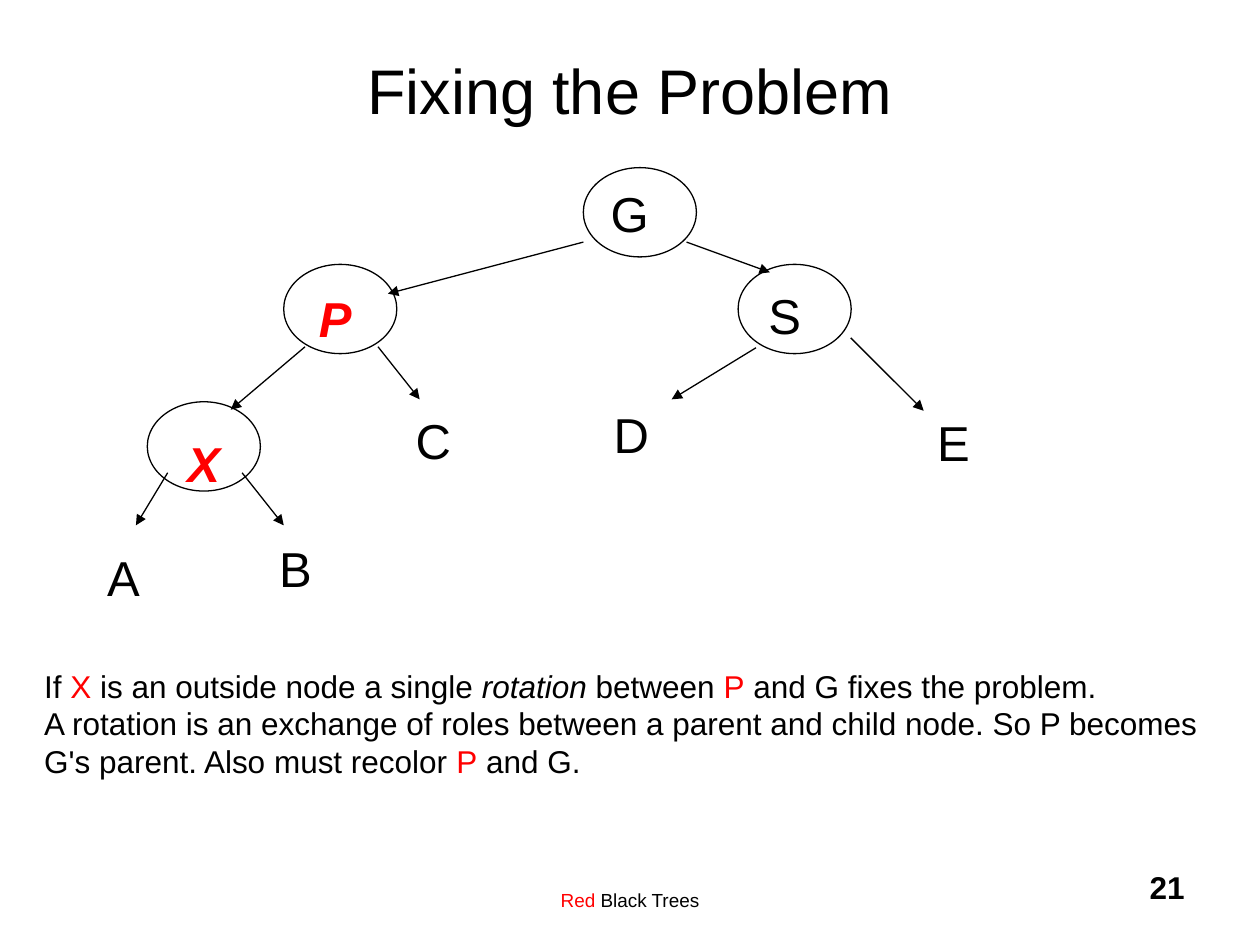
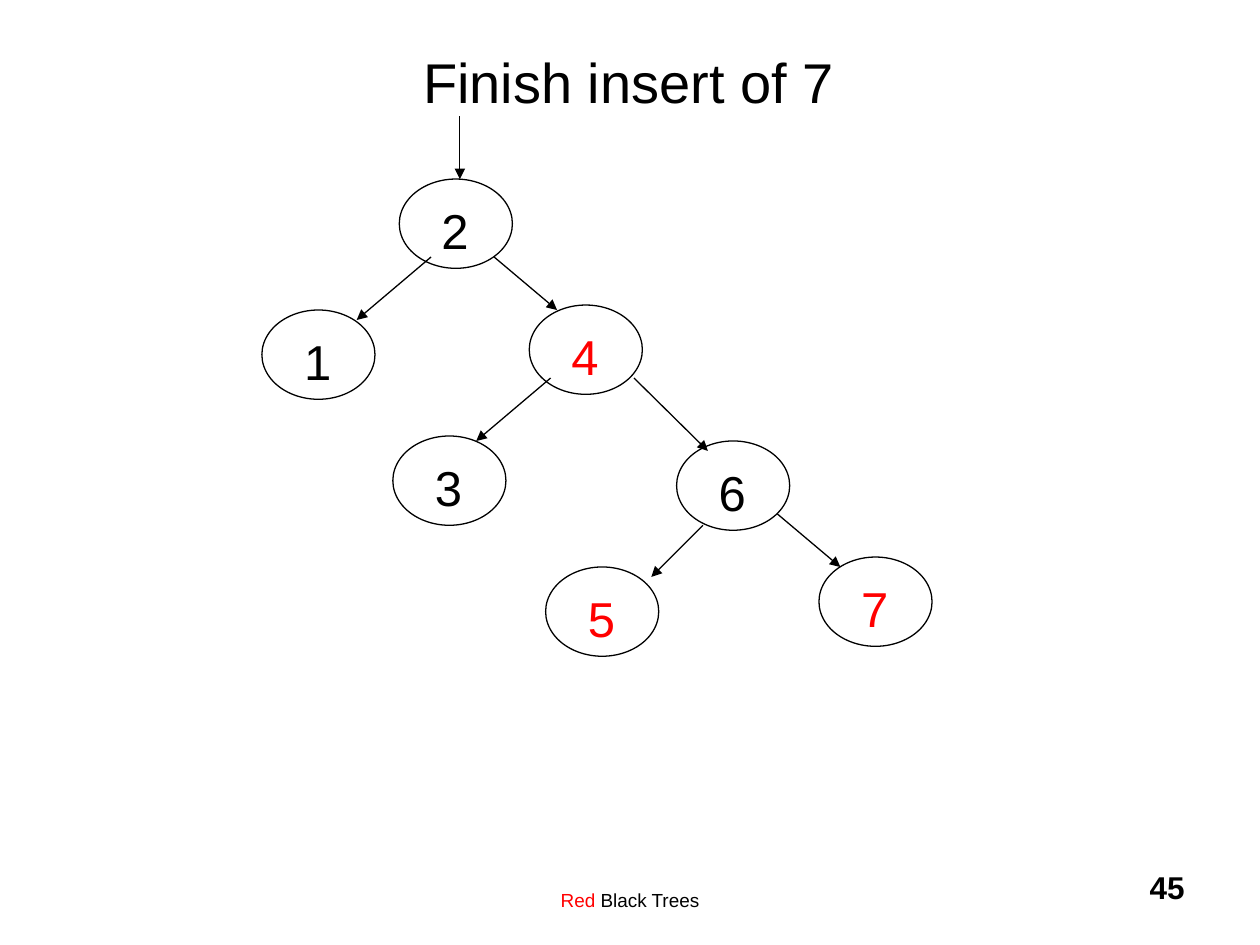
import pptx
import pptx.dml.color
import pptx.enum.shapes
import pptx.enum.text
import pptx.oxml
import pptx.oxml.ns
import pptx.util

Cm, Pt = pptx.util.Cm, pptx.util.Pt
ALIGN = pptx.enum.text.PP_ALIGN
ANCHOR = pptx.enum.text.MSO_ANCHOR
BLACK, RED = "000000", "FF0000"
FONT = "Arial"
NODE_WIDTH, NODE_HEIGHT = 2.28, 1.8
LABEL_HEIGHT, LABEL_DROP = 1.45, 0.1
LETTER_WIDTHS = {"G": 1.27, "C": 1.22, "D": 1.22}


def ink(color_format, hex_color):
    color_format.rgb = pptx.dml.color.RGBColor.from_string(hex_color)


def write(frame, text, size=18, color=BLACK, bold=False, italic=False,
          align=ALIGN.LEFT, anchor=ANCHOR.TOP, wrap=True, top_inset=0.13):
    """Fill a frame with a string, or with paragraphs of (text, overrides) runs."""
    frame.word_wrap = wrap
    frame.vertical_anchor = anchor
    frame.margin_top = Cm(top_inset)
    paragraphs = [[(text, {})]] if isinstance(text, str) else text
    for index, pieces in enumerate(paragraphs):
        paragraph = frame.add_paragraph() if index else frame.paragraphs[0]
        paragraph.alignment = align
        paragraph.space_before = Pt(0)
        for words, changes in pieces:
            run = paragraph.add_run()
            run.text = words
            run.font.name = FONT
            run.font.size = Pt(size)
            run.font.bold = bold
            run.font.italic = changes.get("italic", italic)
            ink(run.font.color, changes.get("color", color))


# Content: nodes are (label, left, top, label offset x, label offset y, color),
# leaves are (label, left, top), arrows are (from x, from y, to x, to y)
red = {"color": RED}
rotation_case = {
    "title": "Fixing the Problem", "title_at": (1.9, 0.2), "title_size": 36,
    "number": "21",
    "nodes": [
        ("G", 11.76, 3.38, 0.3, 0.08, BLACK),
        ("P", 5.72, 5.33, 0.46, 0.25, RED),
        ("S", 14.88, 5.33, 0.36, 0.2, BLACK),
        ("X", 2.97, 8.1, 0.56, 0.41, RED),
    ],
    "emphasis": True,
    "leaves": [("A", 1.91, 10.8), ("B", 5.38, 10.62), ("C", 8.13, 8.05),
               ("D", 12.12, 7.92), ("E", 18.64, 8.08)],
    "arrows": [
        (11.76, 4.88, 7.82, 5.92), (13.84, 4.88, 15.52, 5.49),
        (6.15, 6.99, 4.65, 8.26), (7.62, 6.99, 8.46, 8.05),
        (15.24, 7.01, 13.54, 8.05), (17.15, 6.81, 18.62, 8.28),
        (3.38, 9.53, 2.74, 10.59), (4.88, 9.53, 5.72, 10.59),
    ],
    "explanation": [
        [("If ", {}), ("X", red), (" is an outside node a single ", {}),
         ("rotation", {"italic": True}), (" between ", {}), ("P", red),
         (" and G fixes the problem.", {})],
        [("A rotation is an exchange of roles between a parent and child node. "
          "So P becomes G's parent. Also must recolor ", {}),
         ("P", red), (" and G.", {})],
    ],
}
finished_insert = {
    "title": "Finish insert of 7", "title_at": (1.88, 0.05), "title_size": 32,
    "number": "45",
    "nodes": [(key, left, top, 0.6, 0.2, color) for key, left, top, color in [
        ("2", 8.05, 3.61, BLACK), ("1", 5.28, 6.25, BLACK),
        ("4", 10.67, 6.15, RED), ("3", 7.92, 8.79, BLACK),
        ("6", 13.64, 8.89, BLACK), ("5", 11, 11.43, RED),
        ("7", 16.51, 11.23, RED),
    ]],
    "emphasis": False,
    "leaves": [],
    "arrows": [
        (9.27, 2.34, 9.27, 3.61),
        (8.69, 5.18, 7.19, 6.45), (9.96, 5.18, 11.23, 6.25),
        (11.1, 7.62, 9.6, 8.89), (12.78, 7.62, 14.27, 9.09),
        (14.17, 10.59, 13.13, 11.63), (15.67, 10.36, 16.94, 11.43),
    ],
    "explanation": None,
}

deck = pptx.Presentation()
deck.slide_width, deck.slide_height = Cm(25.4), Cm(19.05)

for content in (rotation_case, finished_insert):
    slide = deck.slides.add_slide(deck.slide_layouts[5])
    shapes = slide.shapes

    # Title
    title = shapes.title
    title.left, title.top = (Cm(value) for value in content["title_at"])
    title.width, title.height = Cm(21.59), Cm(3.18)
    write(title.text_frame, content["title"], size=content["title_size"],
          align=ALIGN.CENTER, anchor=ANCHOR.MIDDLE)

    # Footer and page number
    footer = shapes.add_textbox(Cm(7.83), Cm(17.36), Cm(9.74), Cm(1.27))
    write(footer.text_frame, [[("Red", red), (" Black Trees", {})]],
          size=10.8, align=ALIGN.CENTER, top_inset=0.56)
    page = shapes.add_textbox(Cm(18.84), Cm(17.36), Cm(5.29), Cm(1.27))
    write(page.text_frame, content["number"], bold=True, align=ALIGN.RIGHT)

    # Tree nodes
    labels = [(key, left, top, BLACK) for key, left, top in content["leaves"]]
    for key, left, top, shift_x, shift_y, color in content["nodes"]:
        node = shapes.add_shape(pptx.enum.shapes.MSO_SHAPE.OVAL, Cm(left), Cm(top),
                                Cm(NODE_WIDTH), Cm(NODE_HEIGHT))
        node.shadow.inherit = False
        node.fill.background()
        ink(node.line.color, BLACK)
        node.line.width = Pt(0.75)
        labels.append((key, left + shift_x, top + shift_y, color))

    # Node and subtree labels
    for key, left, top, color in labels:
        width = 1.04 if key.isdigit() else LETTER_WIDTHS.get(key, 1.17)
        label = shapes.add_textbox(Cm(left), Cm(top + LABEL_DROP),
                                   Cm(width), Cm(LABEL_HEIGHT))
        strong = content["emphasis"] and color == RED
        write(label.text_frame, key, size=28, color=color, bold=strong,
              italic=strong, wrap=False)

    # Arrows to children
    for ends in content["arrows"]:
        arrow = shapes.add_connector(pptx.enum.shapes.MSO_CONNECTOR.STRAIGHT,
                                     *(Cm(value) for value in ends))
        ink(arrow.line.color, BLACK)
        arrow.line.width = Pt(0.75)
        head = pptx.oxml.parse_xml(
            f'<a:tailEnd {pptx.oxml.ns.nsdecls("a")} type="triangle"/>')
        arrow.line._get_or_add_ln().append(head)
        no_shadow = pptx.oxml.parse_xml(
            f'<a:effectLst {pptx.oxml.ns.nsdecls("a")}/>')
        arrow._element.spPr.append(no_shadow)

    # Explanation under the tree
    if content["explanation"]:
        explanation = shapes.add_textbox(Cm(0.64), Cm(13.31), Cm(24.13), Cm(3.48))
        write(explanation.text_frame, content["explanation"])

deck.save("out.pptx")
